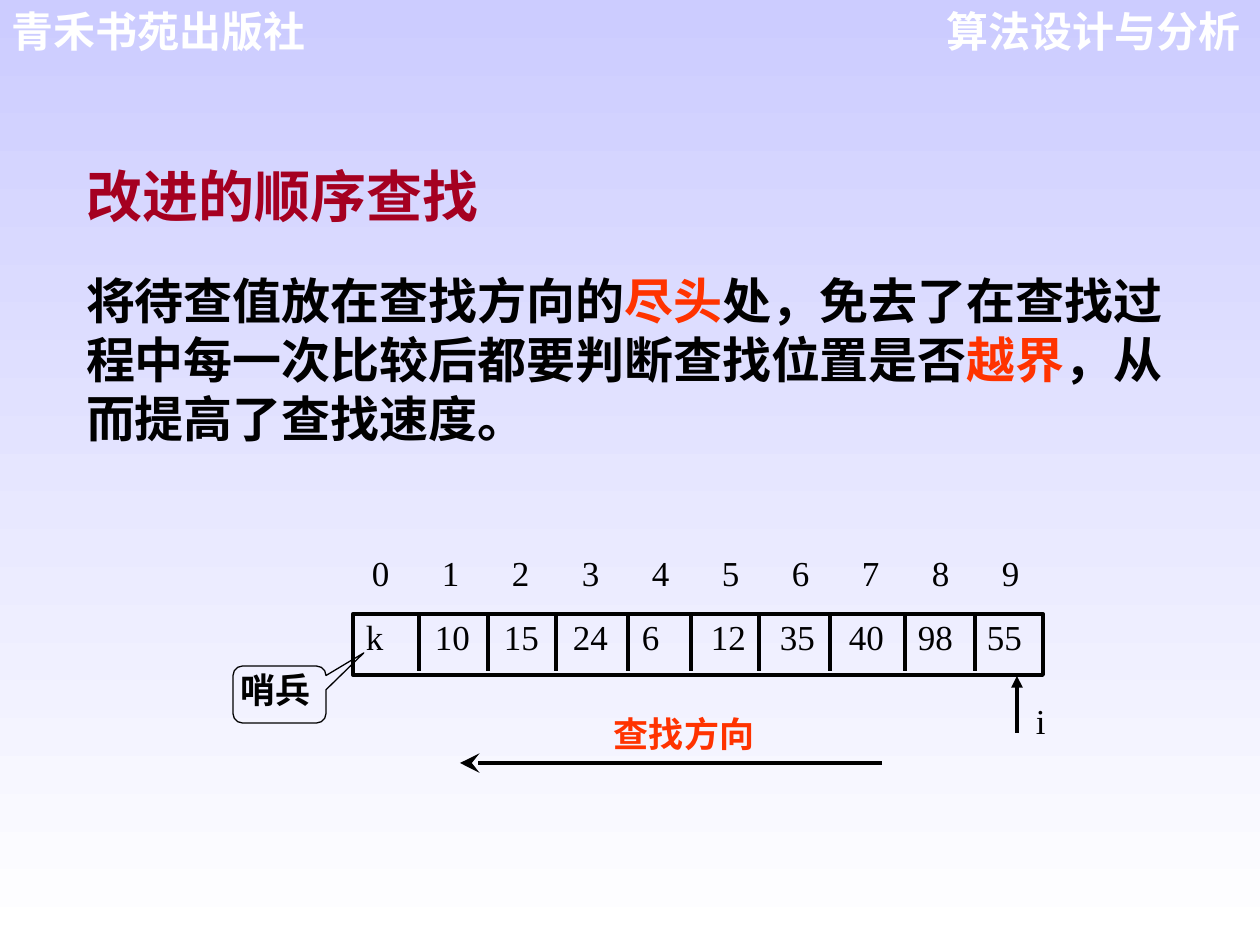
from lxml.etree import SubElement
from pptx import Presentation
from pptx.dml.color import RGBColor
from pptx.enum.shapes import MSO_CONNECTOR as Connector, MSO_SHAPE as Shape
from pptx.enum.text import MSO_ANCHOR as Anchor, MSO_AUTO_SIZE as AutoSize, PP_ALIGN as Align
from pptx.oxml.ns import qn
from pptx.util import Emu, Pt

PX = 914400 / 126
CJK = "Noto Sans CJK SC"
SERIF = "Times New Roman"
BLACK, RED, WHITE, CRIMSON = "000000", "FF3300", "FFFFFF", "A50021"


def box(*lengths):
    return [Emu(round(length * PX)) for length in lengths]


def write(shape, runs, size, margins, font=CJK, bold=True, align=Align.LEFT, tab_step=0):
    frame = shape.text_frame
    left, top, right, bottom = box(*margins)
    frame_format = {"word_wrap": True, "auto_size": AutoSize.NONE,
                    "vertical_anchor": Anchor.TOP, "margin_left": left,
                    "margin_top": top, "margin_right": right, "margin_bottom": bottom}
    for key, value in frame_format.items():
        setattr(frame, key, value)
    line = frame.paragraphs[0]
    line.alignment = align
    line.space_before = Pt(0)
    if bold:
        line.line_spacing = Pt(round(size * 1.2, 1))
    props = line._p.get_or_add_pPr()
    props.set("marL", "0")
    props.set("indent", "0")
    if tab_step:
        props.set("defTabSz", str(box(tab_step)[0]))
    SubElement(props, qn("a:buNone"))
    for words, color in runs:
        run = line.add_run()
        run.text = words
        for key, value in {"size": Pt(size), "bold": bold, "name": font}.items():
            setattr(run.font, key, value)
        run.font.color.rgb = RGBColor.from_string(color)
        SubElement(run._r.get_or_add_rPr(), qn("a:ea"), typeface=CJK)


deck = Presentation()
deck.slide_width, deck.slide_height = box(1260, 945)
slide = deck.slides.add_slide(deck.slide_layouts[1])
shapes = slide.shapes

# Background
backdrop = slide.background.fill
backdrop.gradient()
backdrop.gradient_angle = 270
for stop, color in zip(backdrop.gradient_stops, ("CCCCFF", WHITE)):
    stop.color.rgb = RGBColor.from_string(color)

# Running heads
PADDED = (12, 6, 12, 6)
for left, words, align in ((912, "算法设计与分析", Align.RIGHT),
                           (0, "青禾书苑出版社", Align.LEFT)):
    head = shapes.add_textbox(*box(left, 0, 341, 63))
    write(head, [(words, WHITE)], 24, PADDED, align=align)

# Title and explanation
title, body = shapes.title, slide.placeholders[1]
for holder, place in ((title, (74, 155, 456, 81)), (body, (74, 265, 1121, 189))):
    holder.left, holder.top, holder.width, holder.height = box(*place)
write(title, [("改进的顺序查找", CRIMSON)], 32, PADDED)
write(body, [("将待查值放在查找方向的", BLACK), ("尽头", RED),
             ("处，免去了在查找过程中每一次比较后都要判断查找位置是否", BLACK),
             ("越界", RED), ("，从而提高了查找速度。", BLACK)], 28, PADDED)

# Array frame and sentinel callout
array = shapes.add_shape(Shape.RECTANGLE, *box(353, 614, 690, 61))
sentinel = shapes.add_shape(Shape.ROUNDED_RECTANGULAR_CALLOUT, *box(233, 666, 93, 57))
for index, value in enumerate((0.906, -0.73, 0.167)):
    sentinel.adjustments[index] = value
for outlined, weight in ((array, 2.25), (sentinel, 0.75)):
    outlined.shadow.inherit = False
    outlined.fill.background()
    outlined.line.color.rgb = RGBColor.from_string(BLACK)
    outlined.line.width = Pt(weight)
write(sentinel, [("哨兵", BLACK)], 20, (5, 0, 0, 0))

# Array values and their indices
values = ["k", 10, 15, 24, 6, 12, 35, 40, 98, 55]
write(array, [("\t".join(map(str, values)), BLACK)], 20, (13, 2, 13, 1),
      SERIF, False, tab_step=69)
indices = shapes.add_textbox(*box(364, 552, 687, 50))
write(indices, [("\t".join(map(str, range(len(values)))), BLACK)], 20, (8, 0, 13, 1),
      SERIF, False, tab_step=70)

# Cursor and direction labels
cursor = shapes.add_textbox(*box(1036, 699, 38, 57))
write(cursor, [("i", BLACK)], 20, (0, 0, 0, 0), SERIF, False)
direction = shapes.add_textbox(*box(614, 712, 154, 57))
write(direction, [("查找方向", RED)], 20, (0, 0, 0, 0))

# Cell dividers and arrows
dividers = [(x, 614, x, 671, None, None)
            for x in (419, 488, 556, 628, 691, 759, 830, 905, 975)]
arrows = [(1017, 733, 1017, 676, "triangle", "med"),
          (882, 763, 460, 763, "stealth", "lg")]
for *ends, tip, tip_size in dividers + arrows:
    stroke = shapes.add_connector(Connector.STRAIGHT, *box(*ends))
    stroke.line.color.rgb = RGBColor.from_string(BLACK)
    stroke.line.width = Pt(2.25)
    if tip:
        SubElement(stroke.line._get_or_add_ln(), qn("a:tailEnd"),
                   type=tip, w=tip_size, len=tip_size)
    SubElement(stroke._element.spPr, qn("a:effectLst"))

deck.save("out.pptx")
